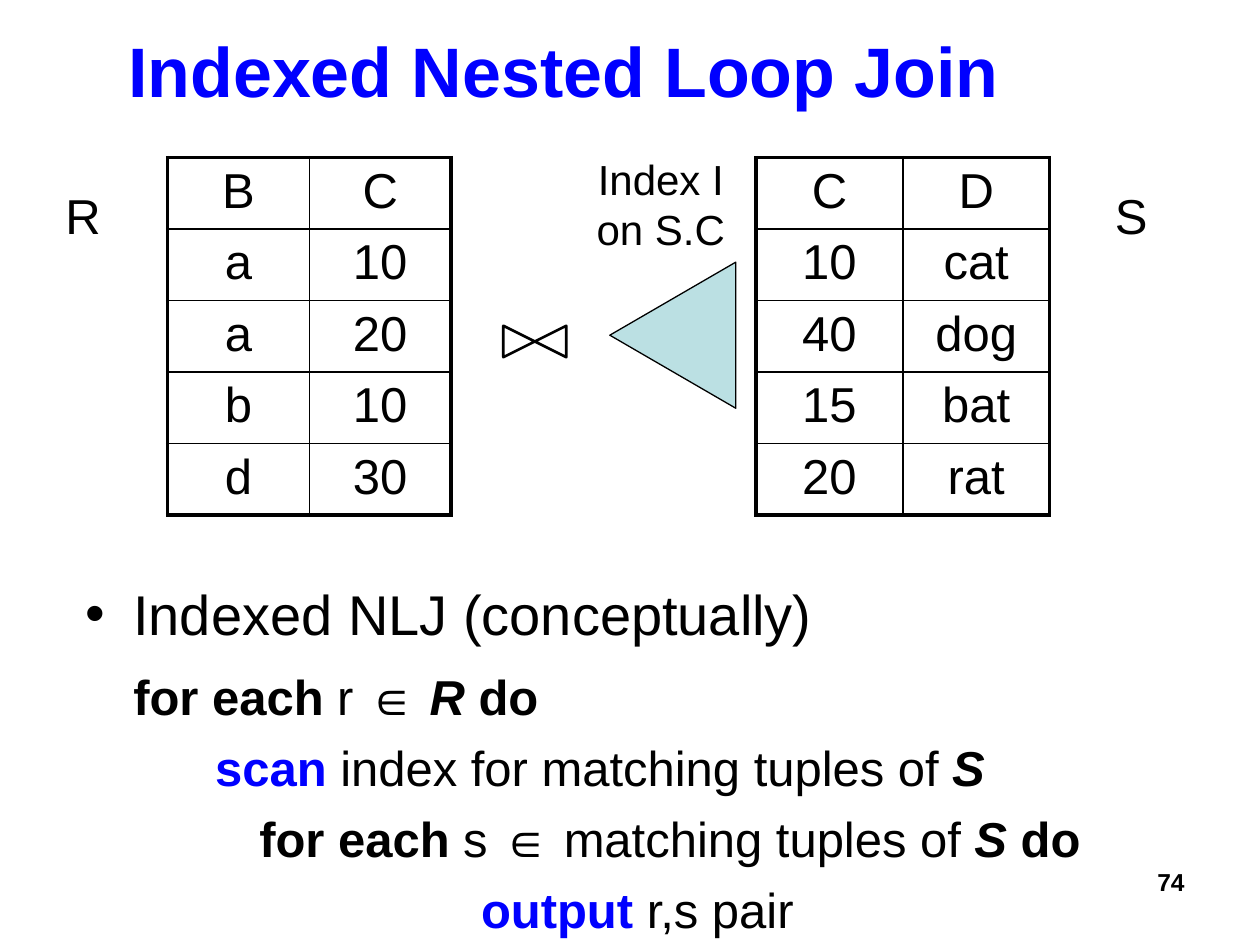
from lxml import etree
from pptx import Presentation
from pptx.dml.color import RGBColor
from pptx.enum.shapes import MSO_SHAPE
from pptx.enum.text import PP_ALIGN
from pptx.oxml.ns import qn
from pptx.util import Inches, Pt

LEFT, CENTER, RIGHT = PP_ALIGN.LEFT, PP_ALIGN.CENTER, PP_ALIGN.RIGHT
TRIANGLE, COLLATE = MSO_SHAPE.ISOSCELES_TRIANGLE, MSO_SHAPE.FLOWCHART_COLLATE
COLORS = {"ink": "000000", "accent": "0000FF", "paper": "FFFFFF", "index": "BBE0E3"}
FONT = "Arial"
PLAIN, BOLD, BOLD_ITALIC, KEYWORD = "plain", "bold", "bold italic", "keyword"

TABLE_R = [("B", "C"), ("a", "10"), ("a", "20"), ("b", "10"), ("d", "30")]
TABLE_S = [("C", "D"), ("10", "cat"), ("40", "dog"), ("15", "bat"), ("20", "rat")]

ALGORITHM = [
    (0.38, 11, [("for each", BOLD), (" r ", PLAIN), ("∈ ", BOLD),
                ("R ", BOLD_ITALIC), ("do", BOLD)]),
    (1.03, 7, [("scan ", KEYWORD), ("index for matching tuples of ", PLAIN),
               ("S", BOLD_ITALIC)]),
    (1.38, 7, [("for each ", BOLD), ("s ", PLAIN), ("∈", BOLD),
               (" matching tuples of ", PLAIN), ("S ", BOLD_ITALIC), ("do", BOLD)]),
    (3.14, 7, [("output ", KEYWORD), ("r,s pair", PLAIN)]),
]


class SlideBuilder:
    """Draws styled elements on the current slide."""

    def __init__(self, slide):
        self.slide = slide

    def color(self, name):
        return RGBColor.from_string(COLORS[name])

    def style(self, font, size, color="ink", bold=False):
        font.name, font.size, font.bold = FONT, Pt(size), bold
        font.color.rgb = self.color(color)

    def frame(self, left, top, width, height, wrap=True):
        box = self.slide.shapes.add_textbox(
            Inches(left), Inches(top), Inches(width), Inches(height))
        box.text_frame.word_wrap = wrap
        return box.text_frame

    def label(self, text, place, size, align=LEFT, color="ink", bold=False, wrap=False):
        para = self.frame(*place, wrap=wrap).paragraphs[0]
        para.text, para.alignment = text, align
        self.style(para.font, size, color, bold)

    def shape(self, kind, place, fill, line_width):
        shape = self.slide.shapes.add_shape(kind, *map(Inches, place))
        shape.rotation = 270
        shape.shadow.inherit = False
        shape.fill.solid()
        shape.fill.fore_color.rgb = self.color(fill)
        shape.line.color.rgb = self.color("ink")
        shape.line.width = Pt(line_width)

    def border(self, cell, side, width):
        line = etree.SubElement(cell._tc.get_or_add_tcPr(), qn(f"a:{side}"), w=str(Pt(width)))
        fill = etree.SubElement(line, qn("a:solidFill"))
        etree.SubElement(fill, qn("a:srgbClr"), val=COLORS["ink"])

    def table(self, rows, left, top, width, height):
        last_row, last_column = len(rows) - 1, len(rows[0]) - 1
        table = self.slide.shapes.add_table(
            len(rows), len(rows[0]), Inches(left), Inches(top),
            Inches(width), Inches(height)).table
        for i, row in enumerate(rows):
            for j, text in enumerate(row):
                cell = table.cell(i, j)
                cell.text = text
                para = cell.text_frame.paragraphs[0]
                para.alignment = CENTER
                self.style(para.font, 28)
                outer = {"lnL": j == 0, "lnR": j == last_column,
                         "lnT": i == 0, "lnB": i == last_row}
                for side, is_outer in outer.items():
                    self.border(cell, side, 2.25 if is_outer else 1)
                cell.fill.background()

    def indent(self, para, left, first=0):
        properties = para._p.get_or_add_pPr()
        properties.set("marL", str(Inches(left)))
        properties.set("indent", str(Inches(first)))
        return properties

    def algorithm(self, heading, lines, place):
        frame = self.frame(*place)
        frame.margin_top = Inches(0.1)
        para = frame.paragraphs[0]
        para.text = heading
        properties = self.indent(para, 0.38, -0.38)
        etree.SubElement(properties, qn("a:buFont"), typeface=FONT)
        etree.SubElement(properties, qn("a:buChar"), char="•")
        self.style(para.font, 32)
        for left, space, spans in lines:
            para = frame.add_paragraph()
            self.indent(para, left)
            para.space_before = Pt(space)
            for text, look in spans:
                span = para.add_run()
                span.text = text
                color = "accent" if look == KEYWORD else "ink"
                self.style(span.font, 28, color, look != PLAIN)
                span.font.italic = look == BOLD_ITALIC


def main():
    deck = Presentation()
    deck.slide_width, deck.slide_height = Inches(10), Inches(7.5)
    page = SlideBuilder(deck.slides.add_slide(deck.slide_layouts[6]))

    page.algorithm("Indexed NLJ (conceptually)", ALGORITHM, (0.58, 4.5, 9, 3.25))
    page.label("Indexed Nested Loop Join", (0.92, 0.17, 7.18, 0.77), 40,
               color="accent", bold=True)
    page.table(TABLE_R, 1.33, 1.25, 2.25, 2.83)
    page.table(TABLE_S, 6, 1.25, 2.33, 2.83)
    page.label("R", (0.42, 1.42, 0.48, 0.57), 28)
    page.label("S", (8.75, 1.42, 0.46, 0.57), 28)
    page.shape(COLLATE, (4.12, 2.46, 0.25, 0.5), "paper", 1.5)
    page.shape(TRIANGLE, (4.76, 2.16, 1.16, 1), "index", 0.75)
    page.label("Index I on S.C", (4.58, 1.17, 1.33, 0.9), 24, CENTER, wrap=True)
    page.label("74", (7.17, 6.83, 2.33, 0.52), 14, RIGHT, bold=True, wrap=True)

    deck.save("out.pptx")


if __name__ == "__main__":
    main()
